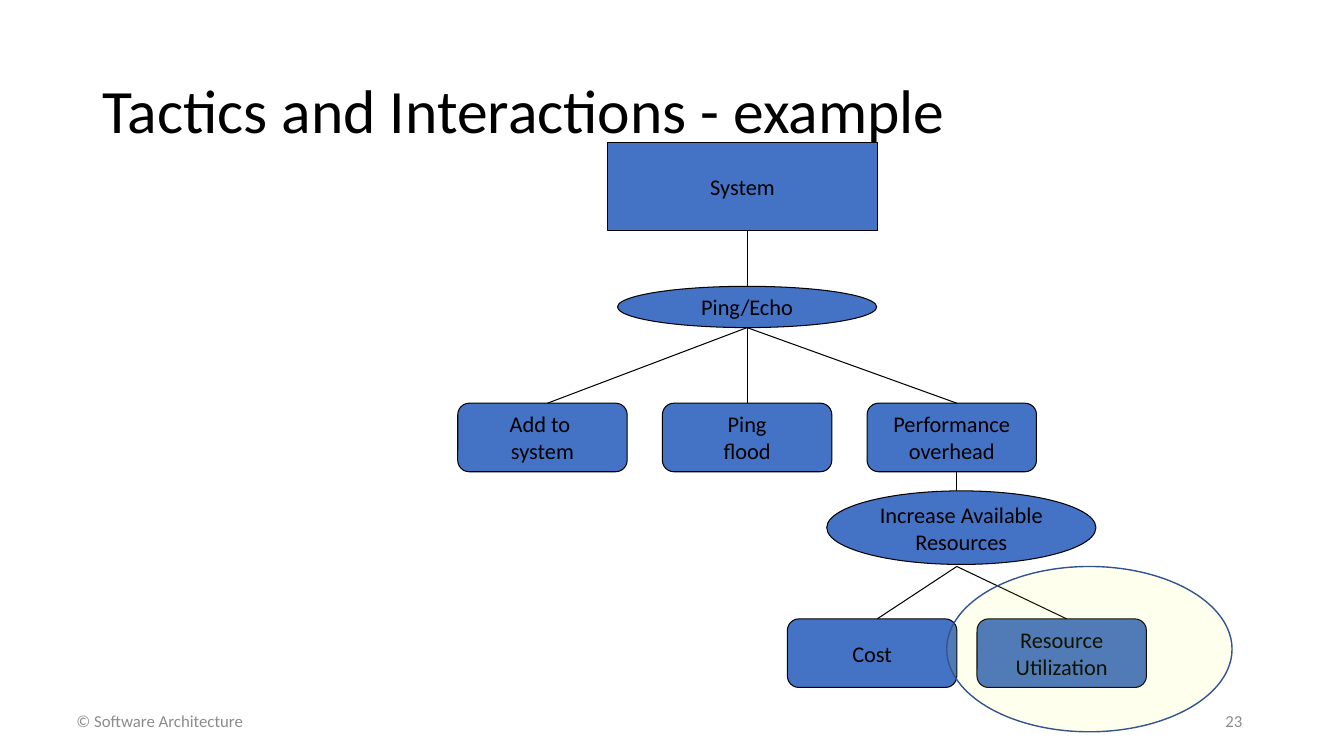
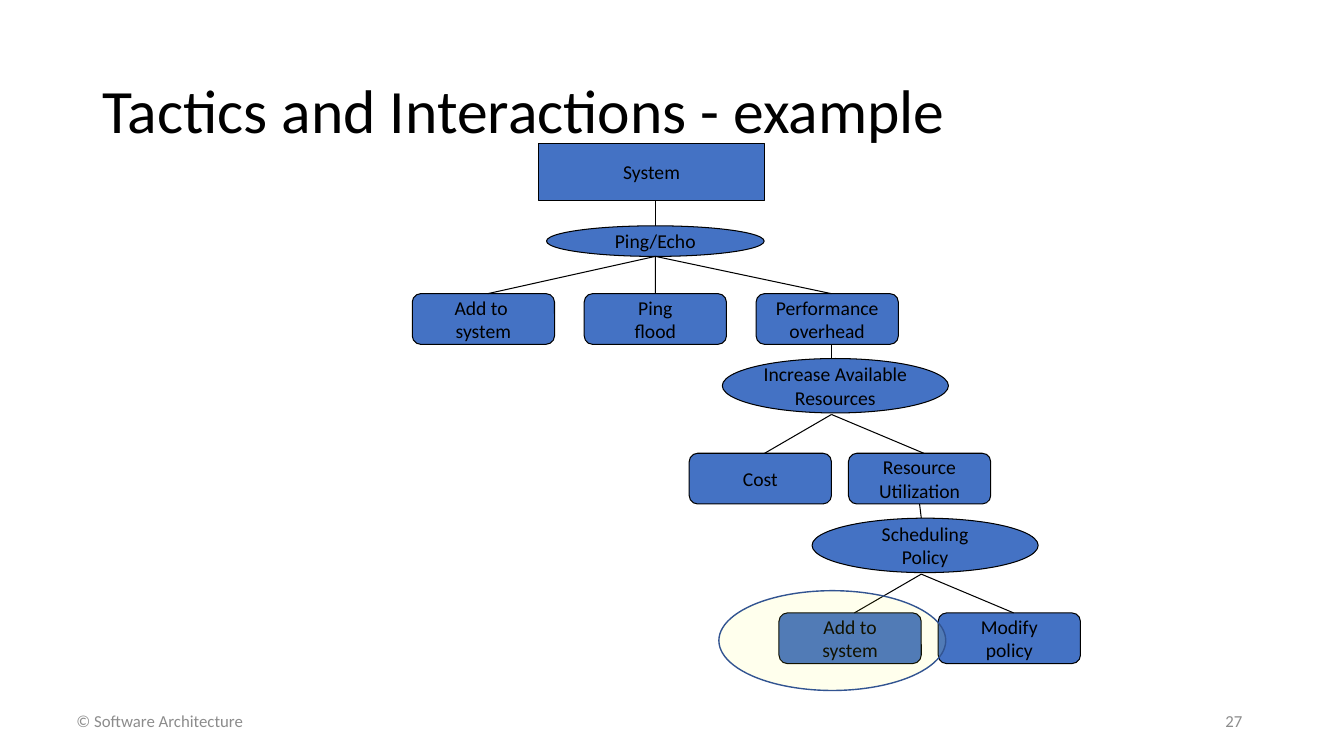
"""Builds two slides that show trees of tactics and their side effects."""
import pptx
import pptx.dml.color
import pptx.enum.shapes
import pptx.enum.text
import pptx.oxml
import pptx.oxml.ns
import pptx.util

SHAPE = pptx.enum.shapes.MSO_SHAPE
ALIGN = pptx.enum.text.PP_ALIGN
MIDDLE = pptx.enum.text.MSO_ANCHOR.MIDDLE
W, H = 13.33, 7.5
FONT = "Calibri"
BLACK, BLUE, GRAY = "000000", "4472C4", "8C8C8C"
YELLOW, NAVY = "FFFF00", "325491"

NODE_W, NODE_H = 1.68, 0.68
OVAL_W, OVAL_H = 2.67, 0.73
ROOT_W, ECHO_W, ECHO_H = 2.67, 2.57, 0.41
SKEW = 0.05

SIDE_EFFECTS = [["Add to ", "system"], ["Ping", "flood"], ["Performance", "overhead"]]
RESOURCES = (["Increase Available", "Resources"], [["Cost"], ["Resource", "Utilization"]])
SCHEDULING = (["Scheduling", "Policy"], [["Add to", "system"], ["Modify", "policy"]])


def inches(*values):
    """Convert numbers to lengths in inches."""
    return [pptx.util.Inches(v) for v in values]


def rgb(color):
    """Turn a hex string into a colour."""
    return pptx.dml.color.RGBColor.from_string(color)


def write(tf, lines, size, color, align, spacing=None):
    """Fill a text frame with one paragraph for each line."""
    tf.vertical_anchor = MIDDLE
    for i, line in enumerate(lines):
        p = tf.add_paragraph() if i else tf.paragraphs[0]
        p.alignment = align
        p.line_spacing = spacing
        r = p.add_run()
        r.text = line
        r.font.name = FONT
        r.font.size = pptx.util.Pt(size)
        r.font.color.rgb = rgb(color)


def add_text(s, box, text, size, color, align, spacing=None):
    """Add a wrapped text box."""
    tf = s.shapes.add_textbox(*inches(*box)).text_frame
    tf.word_wrap = True
    write(tf, [text], size, color, align, spacing)


def add_shape(s, kind, box, fill, line, weight):
    """Add a filled and outlined shape without shadow."""
    sp = s.shapes.add_shape(kind, *inches(*box))
    sp.shadow.inherit = False
    sp.fill.solid()
    sp.fill.fore_color.rgb = rgb(fill)
    sp.line.color.rgb = rgb(line)
    sp.line.width = pptx.util.Pt(weight)
    return sp


def add_node(s, kind, box, lines, size):
    """Add a labelled part of the tree."""
    sp = add_shape(s, kind, box, BLUE, BLACK, 0.75)
    sp.text_frame.word_wrap = False
    write(sp.text_frame, lines, size, BLACK, ALIGN.CENTER)
    return sp


def add_line(s, start, end):
    """Add a thin black connector between two points."""
    straight = pptx.enum.shapes.MSO_CONNECTOR.STRAIGHT
    c = s.shapes.add_connector(straight, *inches(*start, *end))
    c.line.color.rgb = rgb(BLACK)
    c.line.width = pptx.util.Pt(0.75)
    c._element.spPr.append(pptx.oxml.parse_xml(
        "<a:effectLst %s/>" % pptx.oxml.ns.nsdecls("a")))
    return c


def add_row(s, fork, left, top, pitch, scale, labels, size):
    """Add a row of effects and a fan of lines from the fork to them."""
    u, v = scale
    nodes = []
    for i, lines in enumerate(labels):
        x = left + i * pitch
        sp = add_node(s, SHAPE.ROUNDED_RECTANGLE, (x, top, NODE_W * u, NODE_H * v), lines, size)
        centre = x + NODE_W * u / 2
        straight = abs(centre - fork[0]) < 0.02
        c = add_line(s, fork, (centre + (0 if straight else SKEW * u), top))
        if straight:
            c.end_connect(sp, 0)
        nodes.append(sp)
    return nodes


def add_level(s, x, top, scale, level, size, parent):
    """Add a tactic below its parent, with the effects it has, and return those."""
    u, v = scale
    tactic, effects = level
    oval_top = top + 0.19 * v
    stem = add_line(s, (x, top), (x, oval_top))
    centre = (parent.left + parent.width / 2) / pptx.util.Inches(1)
    if abs(centre - x) < 0.02:
        stem.begin_connect(parent, 2)
    add_node(s, SHAPE.OVAL, (x - 1.29 * u, oval_top, OVAL_W * u, OVAL_H * v), tactic, size)
    fork = (x, oval_top + 0.75 * v)
    return add_row(s, fork, x - NODE_W * u, oval_top + 1.27 * v, 1.88 * u, scale, effects, size)


def add_tree(s, x, top, scale, heights, levels, size):
    """Add a tree whose trunk stands at x; heights are root, stem and fan."""
    u, v = scale
    root_h, stem_h, fan_h = heights
    add_node(s, SHAPE.RECTANGLE, (x - 1.38 * u, top, ROOT_W * u, root_h), ["System"], size)
    echo_top = top + root_h + stem_h
    add_line(s, (x, top + root_h), (x, echo_top))
    echo = (x - ECHO_W * u / 2, echo_top, ECHO_W * u, ECHO_H * v)
    add_node(s, SHAPE.OVAL, echo, ["Ping/Echo"], size)
    fork = (x, echo_top + ECHO_H * v)
    row_top = fork[1] + fan_h
    nodes = add_row(s, fork, x - 2.87 * u, row_top, 2.03 * u, scale, SIDE_EFFECTS, size)
    for level, shift in zip(levels, (2.08, 1.06)):
        x += shift * u
        bottom = (nodes[-1].top + nodes[-1].height) / pptx.util.Inches(1)
        nodes = add_level(s, x, bottom, scale, level, size, nodes[-1])


def add_highlight(s, box):
    """Add a see-through yellow ellipse."""
    sp = add_shape(s, SHAPE.OVAL, box, YELLOW, NAVY, 1)
    color = sp._element.spPr.find(".//" + pptx.oxml.ns.qn("a:srgbClr"))
    color.append(pptx.oxml.parse_xml(
        '<a:alpha %s val="7000"/>' % pptx.oxml.ns.nsdecls("a")))


def add_slide(prs, number):
    """Add a blank slide with the shared title and footer."""
    s = prs.slides.add_slide(prs.slide_layouts[6])
    add_text(s, (0.92, 0.4, 11.5, 1.45), "Tactics and Interactions - example",
             44, BLACK, ALIGN.LEFT, 0.9)
    add_text(s, (9.42, 6.95, 3, 0.4), str(number), 12, GRAY, ALIGN.RIGHT)
    add_text(s, (0, 6.95, 3.17, 0.4), "© Software Architecture", 12, GRAY, ALIGN.CENTER)
    return s


def main():
    """Build and save the presentation."""
    prs = pptx.Presentation()
    prs.slide_width, prs.slide_height = inches(W, H)

    s = add_slide(prs, 23)
    add_tree(s, 7.41, 1.41, (1, 1), (0.88, 0.55, 0.75), [RESOURCES], 16)
    add_highlight(s, (9.39, 5.62, 2.83, 1.64))

    s = add_slide(prs, 27)
    add_tree(s, 6.5, 1.42, (0.84, 0.74), (0.57, 0.25, 0.37), [RESOURCES, SCHEDULING], 14)
    add_highlight(s, (7.13, 5.86, 2.25, 0.99))

    prs.save("out.pptx")


if __name__ == "__main__":
    main()
